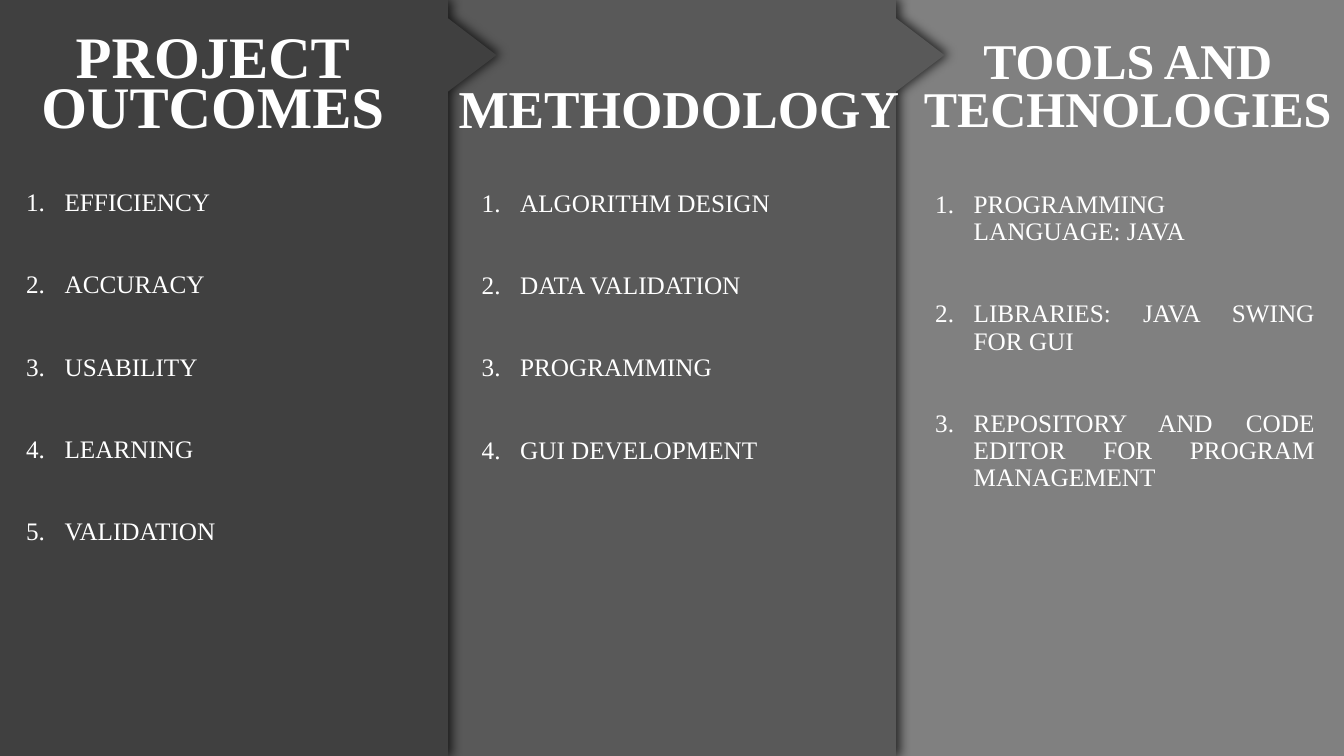
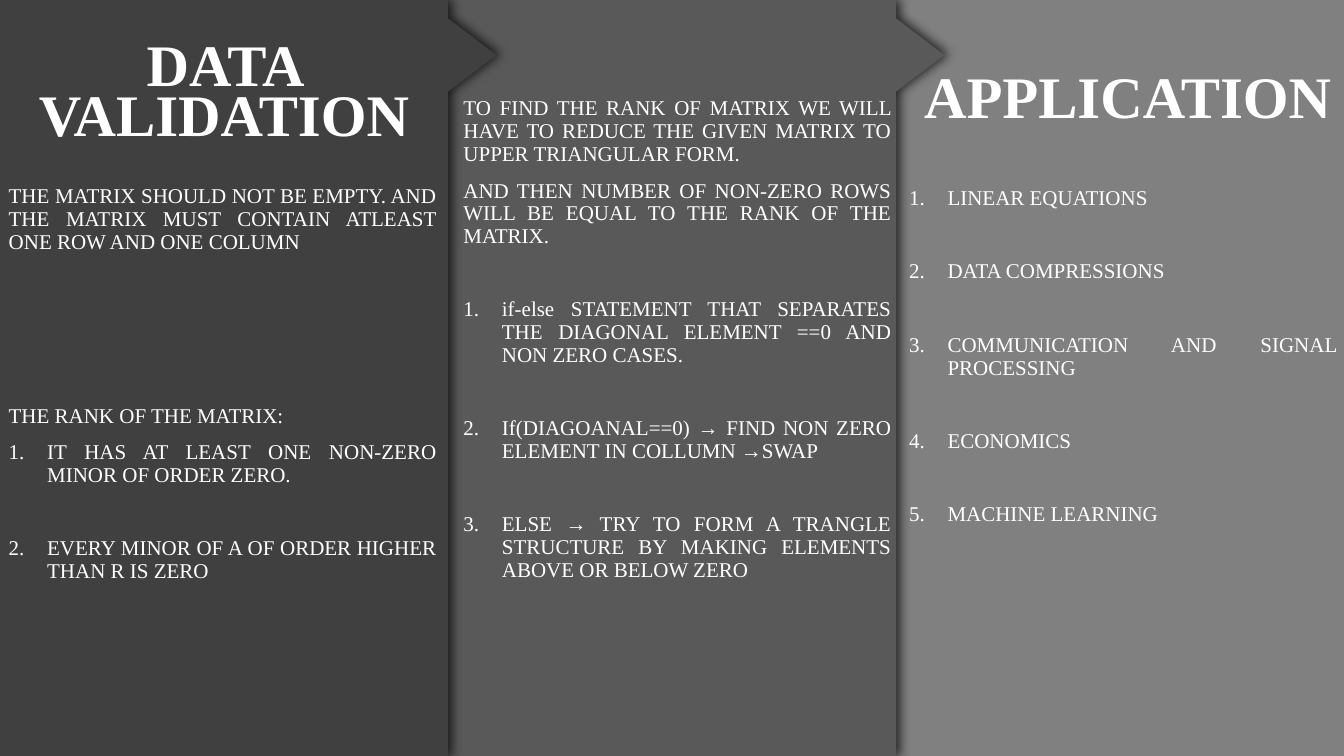
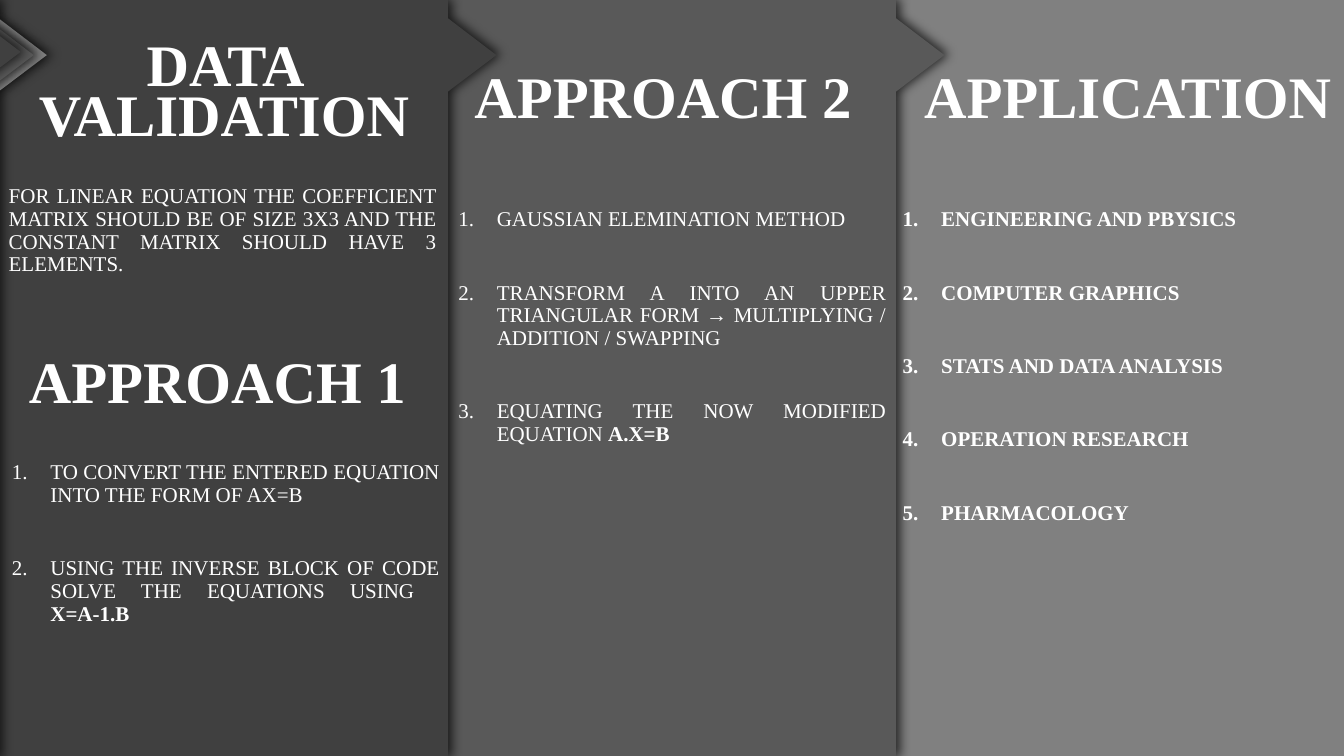
"""Build three slides of dark arrow columns about a matrix calculator project."""
import dataclasses

import pptx
import pptx.dml.color
import pptx.enum.text
import pptx.oxml
import pptx.oxml.ns
import pptx.util
from lxml import etree

Cm = pptx.util.Cm
Pt = pptx.util.Pt


@dataclasses.dataclass(frozen=True)
class Theme:
    """Colours, type sizes and measures (cm, pt) shared by the slides."""
    font: str = "Times New Roman"
    text: str = "FFFFFF"
    columns: tuple = ("404040", "595959", "808080")
    shadow: str = "000000"
    heading: float = 42
    large: float = 18
    small: float = 15
    width: float = 33.87
    height: float = 19.05
    column: float = 11.29
    tip: float = 1.22
    tip_ys: tuple = (0.46, 1.39, 2.31)
    indent: float = 0.97
    space: float = 10


THEME = Theme()


def colour(code):
    """Turn a hex code into a colour."""
    return pptx.dml.color.RGBColor.from_string(code)


def add_arrow_column(slide, left, fill, top=0):
    """Draw a full-height column with an arrow tip on its right side."""
    right = left + THEME.column
    upper, middle, lower = (top + y for y in THEME.tip_ys)
    bottom = top + THEME.height
    outline = [(right, top), (right, upper), (right + THEME.tip, middle),
               (right, lower), (right, bottom), (left, bottom)]
    builder = slide.shapes.build_freeform(Cm(left), Cm(top))
    builder.add_line_segments([(Cm(x), Cm(y)) for x, y in outline], close=True)
    column = builder.convert_to_shape()
    column.fill.solid()
    column.fill.fore_color.rgb = colour(fill)
    column.line.fill.background()
    column.shadow.inherit = False
    qn = pptx.oxml.ns.qn
    effects = column.element.spPr.find(qn("a:effectLst"))
    shadow = etree.SubElement(effects, qn("a:outerShdw"), blurRad=str(Pt(8)),
                              dist=str(Pt(3)), dir="0", algn="l", rotWithShape="0")
    tint = etree.SubElement(shadow, qn("a:srgbClr"), val=THEME.shadow)
    etree.SubElement(tint, qn("a:alpha"), val="70000")


def format_paragraph(paragraph, size, bold, align, spacing):
    """Apply the deck's font, alignment and line spacing to a paragraph."""
    paragraph.alignment = align
    paragraph.line_spacing = spacing
    for run in paragraph.runs:
        run.font.name = THEME.font
        run.font.size = Pt(size)
        run.font.bold = bold
        run.font.color.rgb = colour(THEME.text)


def add_heading(slide, text, box, size=THEME.heading, spacing=0.9, title=False):
    """Place a column heading, in the title placeholder if it names the slide."""
    if title:
        heading = slide.shapes.title
        slide.shapes.element.append(heading.element)
        heading.left, heading.top, heading.width, heading.height = map(Cm, box)
    else:
        heading = slide.shapes.add_textbox(*map(Cm, box))
    frame = heading.text_frame
    frame.text = text
    frame.word_wrap = True
    frame.auto_size = pptx.enum.text.MSO_AUTO_SIZE.NONE
    frame.vertical_anchor = pptx.enum.text.MSO_ANCHOR.BOTTOM
    for paragraph in frame.paragraphs:
        format_paragraph(paragraph, size, True, pptx.enum.text.PP_ALIGN.CENTER, spacing)


def number_paragraph(paragraph):
    """Give a paragraph a hanging automatic number."""
    properties = paragraph._p.get_or_add_pPr()
    properties.set("marL", str(Cm(THEME.indent)))
    properties.set("indent", str(-Cm(THEME.indent)))
    etree.SubElement(properties, pptx.oxml.ns.qn("a:buAutoNum"), type="arabicPeriod")


def add_body(slide, box, intro=(), items=(), size=THEME.small, bold=False,
             formula="", spaced_start=False):
    """Write introductory paragraphs, then a widely spaced numbered list."""
    frame = slide.shapes.add_textbox(*map(Cm, box)).text_frame
    frame.text = "\n".join([*intro, *items])
    frame.word_wrap = True
    wide = 2 * THEME.space + round(1.08 * size, 1)
    first_wide = len(intro) + (0 if spaced_start else 1)
    for index, paragraph in enumerate(frame.paragraphs):
        format_paragraph(paragraph, size, bold, pptx.enum.text.PP_ALIGN.JUSTIFY, 0.9)
        paragraph.space_before = Pt(wide if index >= first_wide else THEME.space)
        if index >= len(intro):
            number_paragraph(paragraph)
    if formula:
        last = frame.paragraphs[-1]
        last.add_run().text = formula
        format_paragraph(last, size, bold, pptx.enum.text.PP_ALIGN.JUSTIFY, 0.9)
        last.runs[-1].font.bold = True


def add_slide(deck):
    """Add a title-only slide with the three columns, rightmost at the back."""
    slide = deck.slides.add_slide(deck.slide_layouts[5])
    for index, fill in reversed(list(enumerate(THEME.columns))):
        add_arrow_column(slide, index * THEME.column, fill)
    return slide


def add_validation_and_application(slide, requirement):
    """Add the headings and the requirement shared by both problem slides."""
    add_heading(slide, "APPLICATION", (22.96, 1.5, 10.92, 1.93))
    add_heading(slide, "DATA VALIDATION", (0.69, 0.79, 9.91, 3.02), spacing=0.7, title=True)
    add_body(slide, (-0.03, 4.55, 11.28, 2.36), intro=[requirement])


def build_project(deck):
    """Outcomes, methodology and tools."""
    slide = add_slide(deck)
    add_heading(slide, "TOOLS AND\vTECHNOLOGIES", (22.96, 0.2, 10.92, 3.38), 35.7, 0.8)
    add_body(slide, (23.32, 4.7, 10.06, 14.35), size=THEME.large, items=[
        "PROGRAMMING LANGUAGE: JAVA",
        "LIBRARIES: JAVA SWING FOR GUI",
        "REPOSITORY AND CODE EDITOR FOR PROGRAM MANAGEMENT"])
    add_heading(slide, "METHODOLOGY", (11.23, 0.56, 11.76, 3.1), 38)
    add_body(slide, (11.89, 4.67, 10.06, 14.38), size=THEME.large, items=[
        "ALGORITHM DESIGN", "DATA VALIDATION", "PROGRAMMING", "GUI DEVELOPMENT"])
    add_heading(slide, "PROJECT\nOUTCOMES", (0.41, 0.56, 9.91, 3.05), spacing=0.7, title=True)
    add_body(slide, (0.41, 4.65, 5.28, 14.4), size=THEME.large, items=[
        "EFFICIENCY", "ACCURACY", "USABILITY", "LEARNING", "VALIDATION"])


def build_matrix_rank(deck):
    """Rank of a matrix: validation, method and application."""
    slide = add_slide(deck)
    add_validation_and_application(
        slide, "THE MATRIX SHOULD NOT BE EMPTY. AND THE MATRIX MUST CONTAIN "
               "ATLEAST ONE ROW AND ONE COLUMN")
    add_body(slide, (22.66, 4.6, 11.28, 13.23), items=[
        "LINEAR EQUATIONS", "DATA COMPRESSIONS",
        "COMMUNICATION AND SIGNAL PROCESSING", "ECONOMICS", "MACHINE LEARNING"])
    add_body(slide, (11.43, 2.34, 11.28, 13.23), spaced_start=True, intro=[
        "TO FIND THE RANK OF MATRIX WE WILL HAVE TO REDUCE THE GIVEN MATRIX TO "
        "UPPER TRIANGULAR FORM.",
        "AND THEN NUMBER OF NON-ZERO ROWS WILL BE EQUAL TO THE RANK OF THE MATRIX."],
        items=[
            "if-else STATEMENT THAT SEPARATES THE DIAGONAL ELEMENT ==0 AND NON ZERO CASES.",
            "If(DIAGOANAL==0) → FIND NON ZERO ELEMENT IN COLLUMN →SWAP",
            "ELSE → TRY TO FORM A TRANGLE STRUCTURE BY MAKING ELEMENTS ABOVE OR BELOW ZERO"])
    add_body(slide, (-0.03, 10.08, 11.28, 5.49), intro=["THE RANK OF THE MATRIX:"], items=[
        "IT HAS AT LEAST ONE NON-ZERO MINOR OF ORDER ZERO.",
        "EVERY MINOR OF A OF ORDER HIGHER THAN R IS ZERO"])


def build_linear_equations(deck):
    """Linear equations: validation, two approaches and application."""
    slide = add_slide(deck)
    add_validation_and_application(
        slide, "FOR LINEAR EQUATION THE COEFFICIENT MATRIX SHOULD BE OF SIZE 3X3 "
               "AND THE CONSTANT MATRIX SHOULD HAVE 3 ELEMENTS.")
    add_body(slide, (22.5, 5.13, 11.28, 8.66), bold=True, items=[
        "ENGINEERING AND PBYSICS", "COMPUTER GRAPHICS", "STATS AND DATA ANALYSIS",
        "OPERATION RESEARCH", "PHARMACOLOGY"])
    add_heading(slide, "APPROACH 2 ", (11.28, 0.41, 11.23, 3.02))
    add_body(slide, (11.3, 5.13, 11.28, 5.44), formula="A.X=B", items=[
        "GAUSSIAN ELEMINATION METHOD",
        "TRANSFORM A INTO AN UPPER TRIANGULAR FORM → MULTIPLYING / ADDITION / SWAPPING",
        "EQUATING THE NOW MODIFIED EQUATION "])
    add_heading(slide, "APPROACH 1 ", (0.05, 7.59, 11.23, 3.02))
    add_body(slide, (0.05, 11.51, 11.28, 5.44), formula="X=A-1.B", items=[
        "TO CONVERT THE ENTERED EQUATION INTO THE FORM OF AX=B",
        "USING THE INVERSE BLOCK OF CODE SOLVE THE EQUATIONS USING \v"])
    for step, (fill, top) in enumerate(zip(reversed(THEME.columns), (0, 0, -0.08))):
        add_arrow_column(slide, -11.33 - step * 0.33, fill, top)


def main():
    """Build and save the deck."""
    deck = pptx.Presentation()
    deck.slide_width, deck.slide_height = Cm(THEME.width), Cm(THEME.height)
    backdrop = deck.slide_master.background.fill
    backdrop.solid()
    backdrop.fore_color.rgb = colour(THEME.columns[1])
    build_project(deck)
    build_matrix_rank(deck)
    build_linear_equations(deck)
    deck.save("out.pptx")


if __name__ == "__main__":
    main()
